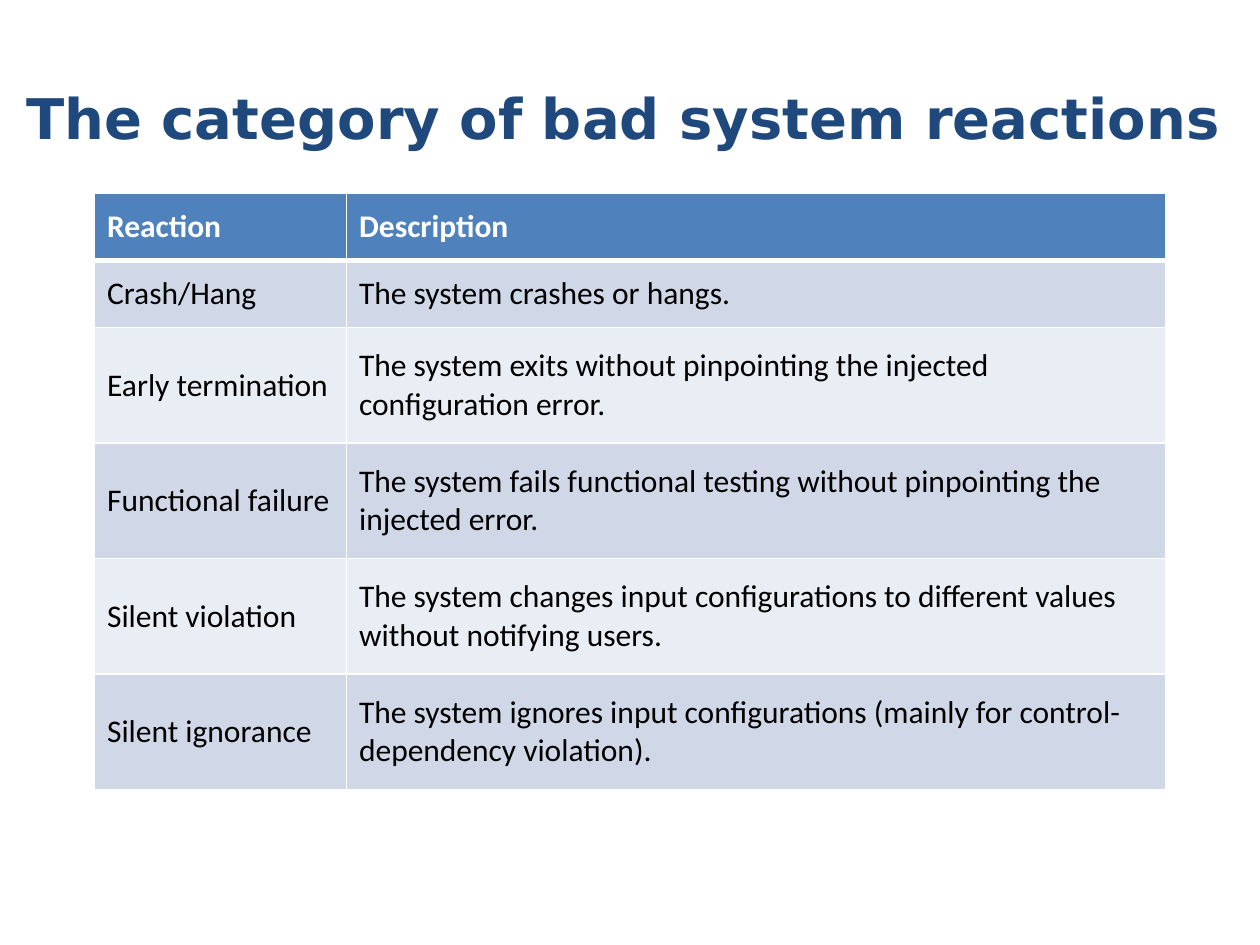
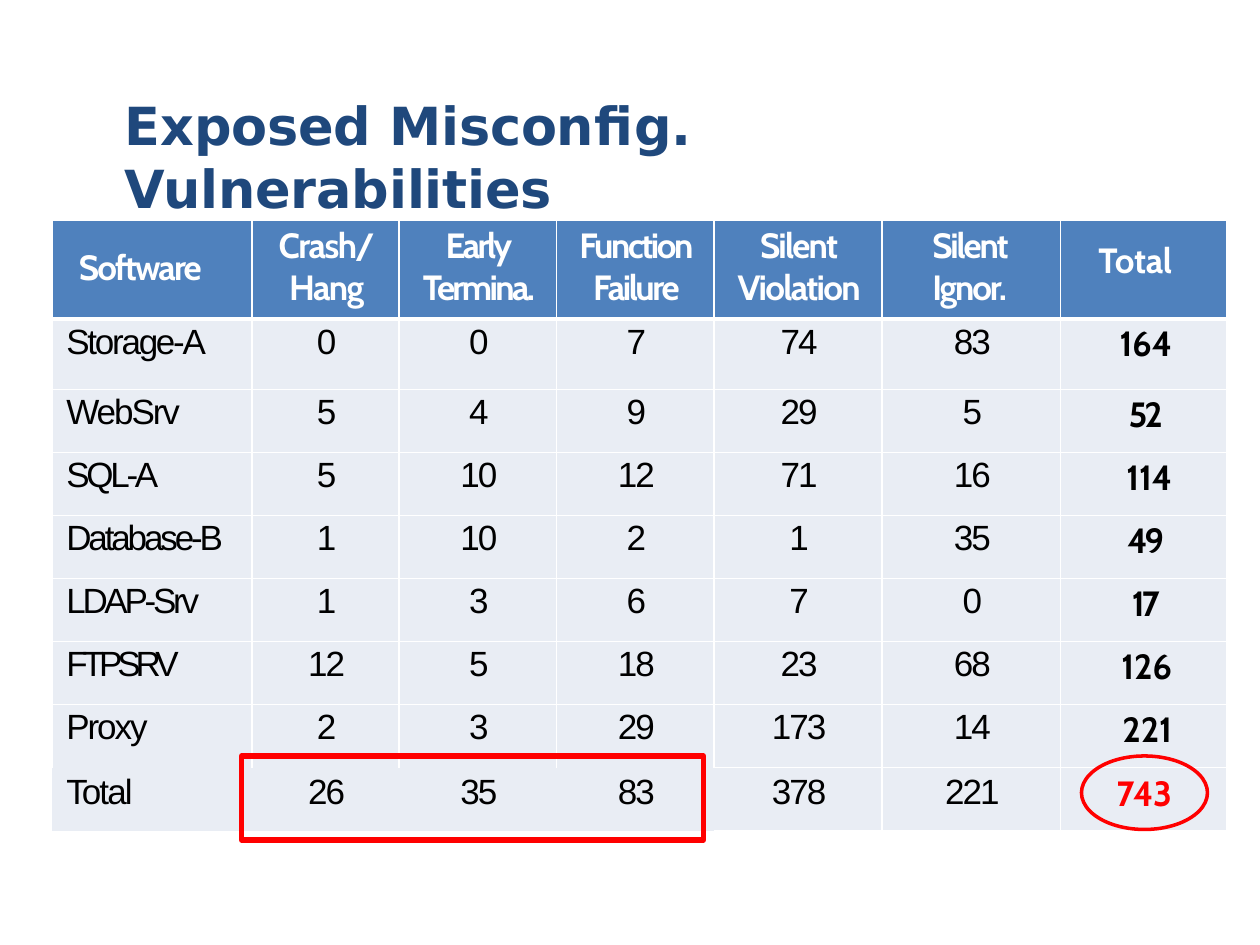
from lxml.etree import SubElement
from pptx import Presentation
from pptx.dml.color import RGBColor
from pptx.enum.shapes import MSO_SHAPE as Preset
from pptx.enum.text import MSO_ANCHOR as Anchor, PP_ALIGN as Align
from pptx.oxml.ns import qn
from pptx.util import Inches, Pt

WHITE = RGBColor(0xFF, 0xFF, 0xFF)
BLACK = RGBColor(0x00, 0x00, 0x00)
NAVY = RGBColor(0x1F, 0x48, 0x7C)
HEADER_BLUE = RGBColor(0x4F, 0x81, 0xBD)
BAND_DARK = RGBColor(0xD0, 0xD8, 0xE8)
BAND_LIGHT = RGBColor(0xE9, 0xED, 0xF4)
RED = RGBColor(0xFF, 0x00, 0x00)


class Deck:
    COLUMNS, ROWS = 120, 90
    TITLE_FONT = "DejaVu Sans"

    def __init__(self):
        self.presentation = Presentation()
        self.presentation.slide_width = Inches(10)
        self.presentation.slide_height = Inches(7.5)
        self.slide = None

    def x(self, columns):
        return round(self.presentation.slide_width * columns / self.COLUMNS)

    def y(self, rows):
        return round(self.presentation.slide_height * rows / self.ROWS)

    def box(self, left, top, width, height):
        return self.x(left), self.y(top), self.x(width), self.y(height)

    def add_slide(self):
        self.slide = self.presentation.slides.add_slide(self.presentation.slide_layouts[6])

    def style(self, paragraph, font, size, color, bold=False, spacing=0.0, align=Align.LEFT):
        paragraph.alignment = align
        for run in paragraph.runs:
            run.font.name = font
            run.font.size = Pt(size)
            run.font.bold = bold
            run.font.color.rgb = color
            if spacing:
                run._r.get_or_add_rPr().set("spc", str(round(spacing * 100)))

    def margins(self, target, left, top, right=0, bottom=0):
        target.margin_left, target.margin_top = Inches(left), Inches(top)
        target.margin_right, target.margin_bottom = Inches(right), Inches(bottom)

    def title(self, text, box, size, spacing=0.0):
        text_frame = self.slide.shapes.add_textbox(*self.box(*box)).text_frame
        text_frame.word_wrap = True
        self.margins(text_frame, 0, 0)
        text_frame.text = text
        self.style(text_frame.paragraphs[0], self.TITLE_FONT, size, NAVY, True, spacing)

    def table(self, left, top, widths, heights):
        frame = self.slide.shapes.add_table(
            len(heights), len(widths), *self.box(left, top, sum(widths), sum(heights)))
        for column, width in zip(frame.table.columns, widths):
            column.width = self.x(width)
        for row, height in zip(frame.table.rows, heights):
            row.height = self.y(height)
        return frame.table

    def cell(self, cell, text, fill, left=1, right=1, top=1, bottom=1):
        properties = cell._tc.get_or_add_tcPr()
        for side, width in zip("LRTB", (left, right, top, bottom)):
            line = SubElement(properties, qn(f"a:ln{side}"), w=str(Pt(width)))
            if width:
                color = SubElement(SubElement(line, qn("a:solidFill")), qn("a:srgbClr"))
                color.set("val", str(WHITE))
            else:
                SubElement(line, qn("a:noFill"))
        cell.fill.solid()
        cell.fill.fore_color.rgb = fill
        cell.text_frame.text = text
        return cell.text_frame.paragraphs

    def outline(self, preset, box, width):
        shape = self.slide.shapes.add_shape(preset, *self.box(*box))
        shape.shadow.inherit = False
        shape.fill.background()
        shape.line.color.rgb = RED
        shape.line.width = Pt(width)


def reactions_slide(deck):
    reactions = [
        ("Reaction", "Description"),
        ("Crash/Hang", "The system crashes or hangs."),
        ("Early termination",
         "The system exits without pinpointing the injected configuration error."),
        ("Functional failure",
         "The system fails functional testing without pinpointing the injected error."),
        ("Silent violation",
         "The system changes input configurations to different values without notifying users."),
        ("Silent ignorance",
         "The system ignores input configurations (mainly for control-dependency violation)."),
    ]
    deck.add_slide()
    deck.title("The category of bad system reactions", (2.5, 8, 115, 7), 32)
    table = deck.table(9, 18.4, [24, 78], [6.4] * 2 + [11] * 4)
    for row, texts in enumerate(reactions):
        header = row == 0
        fill = HEADER_BLUE if header else BAND_DARK if row % 2 else BAND_LIGHT
        for column, text in enumerate(texts):
            cell = table.cell(row, column)
            cell.vertical_anchor = Anchor.MIDDLE
            paragraphs = deck.cell(cell, text, fill, top=3 if row == 1 else 1,
                                   bottom=3 if header else 1)
            deck.style(paragraphs[0], "Calibri", 18, WHITE if header else BLACK, header)


def vulnerabilities_slide(deck):
    headers = [("Software", -1.1), ("Crash/\nHang", -0.9), ("Early\nTermina.", -1.5),
               ("Function\nFailure", -1.4), ("Silent\nViolation", -1.0),
               ("Silent\nIgnor.", -1.2), ("Total", -0.2)]
    software = [
        ("Storage-A", -1.3, (0, 0, 7, 74, 83, 164)),
        ("WebSrv", -1.2, (5, 4, 9, 29, 5, 52)),
        ("SQL-A", -1.9, (5, 10, 12, 71, 16, 114)),
        ("Database-B", -1.8, (1, 10, 2, 1, 35, 49)),
        ("LDAP-Srv", -1.9, (1, 3, 6, 7, 0, 17)),
        ("FTPSRV", -2.9, (12, 5, 18, 23, 68, 126)),
        ("Proxy", -1.2, (2, 3, 29, 173, 14, 221)),
        ("Total", -1.1, (26, 35, 83, 378, 221, 743)),
    ]
    last_row, last_column = len(software), len(headers) - 1
    open_columns = 4
    total_margin = 0.43
    deck.add_slide()
    table = deck.table(5, 21, [19, 14, 15, 15, 16, 17, 15.8], [9.4, 6.7] + [6] * 7)

    header_layout = {0: (Align.LEFT, 0.21, 0.21, 0), 5: (Align.LEFT, 0.4, 0.03, 0),
                     last_column: (Align.RIGHT, 0, 0.15, total_margin)}
    for column, (text, spacing) in enumerate(headers):
        cell = table.cell(0, column)
        align, left, top, right = header_layout.get(column, (Align.CENTER, 0.02, 0.03, 0))
        deck.margins(cell, left, top, right)
        for paragraph in deck.cell(cell, text, HEADER_BLUE, bottom=3):
            deck.style(paragraph, "Cabin", 20, WHITE, True, spacing, align)

    for row, (name, name_spacing, counts) in enumerate(software, 1):
        for column, value in enumerate((name, *counts)):
            cell, text = table.cell(row, column), str(value)
            is_open = row == last_row and column < open_columns
            above_open = row == last_row - 1 and column < open_columns
            beside_open = row == last_row and column == open_columns
            paragraph = deck.cell(
                cell, text, BAND_LIGHT,
                left=0 if is_open or beside_open else 1, right=0 if is_open else 1,
                top=0 if is_open else 3 if row == 1 else 1,
                bottom=0 if is_open or above_open else 1)[0]
            font, color, align, left, right = "Arial", BLACK, Align.CENTER, 0.02, 0
            spacing = -1.1 if len(text) > 1 else 0
            if column == 0:
                align, left, spacing = Align.LEFT, 0.11, name_spacing
            elif column == last_column:
                font, spacing, left = "Cabin", -1.7, 0.04
                if len(text) == 3:
                    align, spacing, left, right = Align.RIGHT, -0.1, 0, total_margin
                if row == last_row:
                    color = RED
            deck.margins(cell, left, 0.04 if row == last_row else 0.03, right)
            deck.style(paragraph, font, 20, color, column == last_column, spacing, align)

    deck.title("Exposed Misconfig. Vulnerabilities", (11.9, 8.9, 96.2, 6.3), 30, -0.1)
    deck.outline(Preset.OVAL, (103, 72, 12, 7), 2)
    deck.outline(Preset.RECTANGLE, (23, 72, 44, 8), 3)


deck = Deck()
reactions_slide(deck)
vulnerabilities_slide(deck)
deck.presentation.save("out.pptx")
